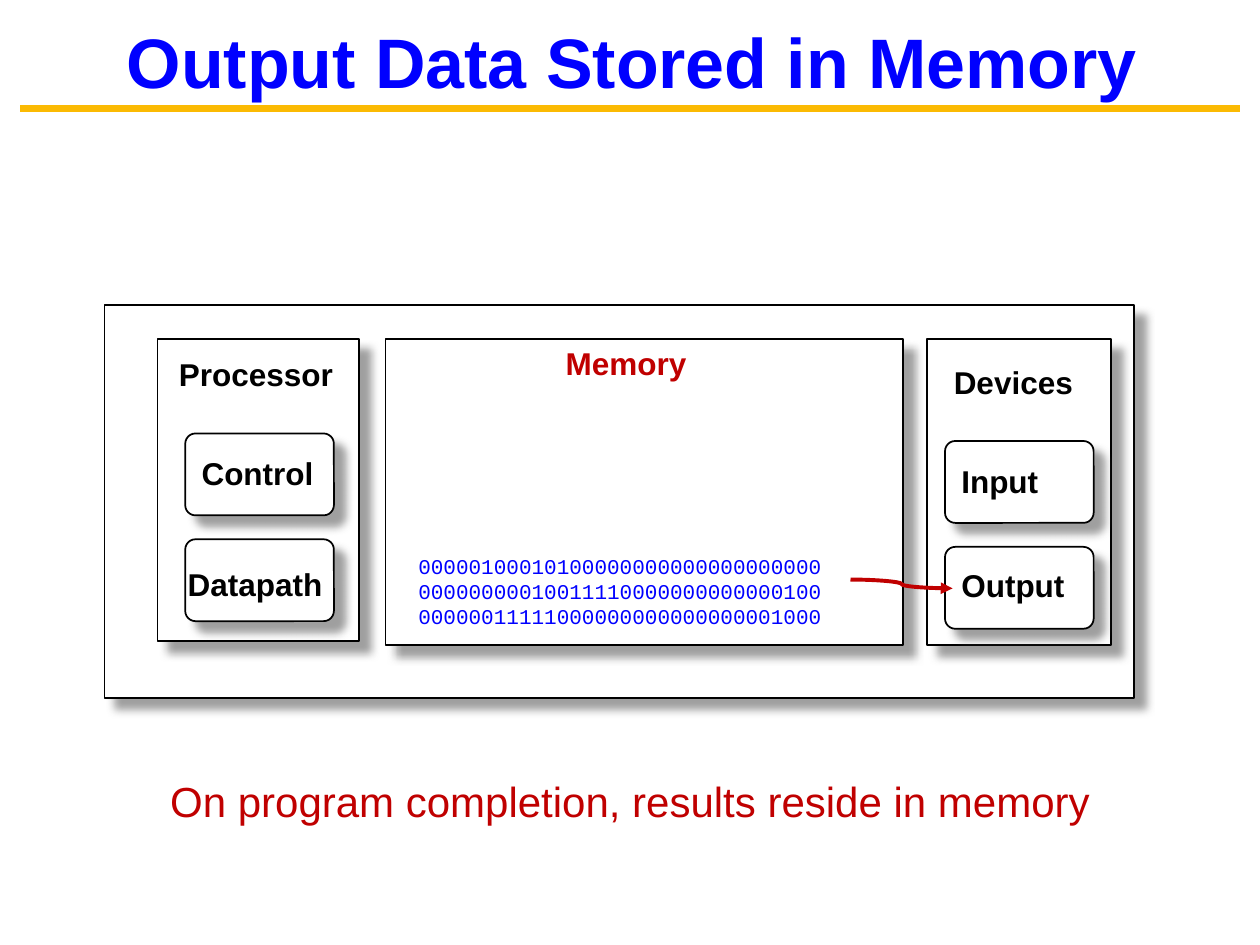
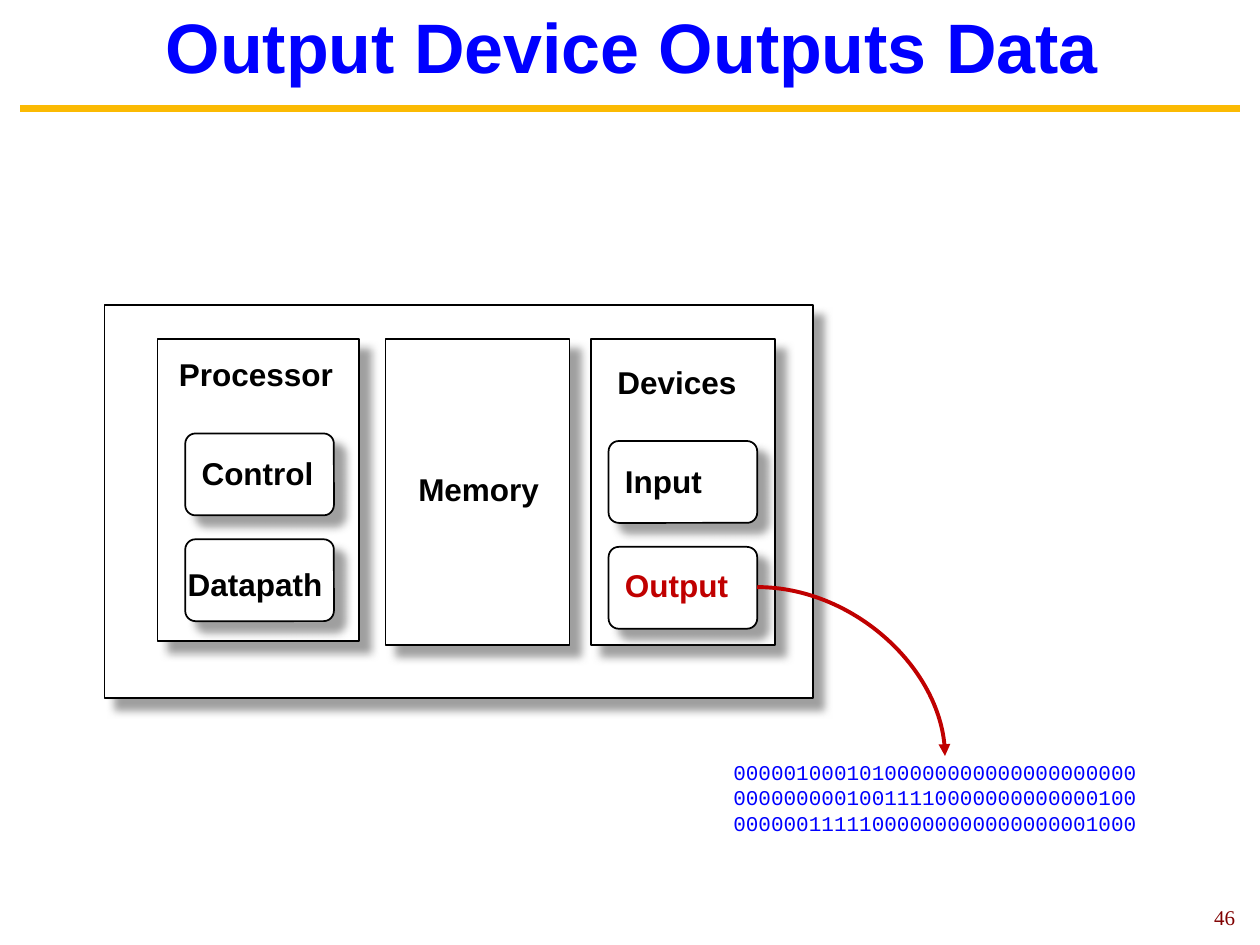
from lxml import etree
from pptx import Presentation
from pptx.dml.color import RGBColor
from pptx.enum import shapes, text
from pptx.oxml import parse_xml
from pptx.oxml.ns import nsdecls, qn
from pptx.util import Inches, Pt

WHITE = RGBColor(0xFF, 0xFF, 0xFF)
BLACK = RGBColor(0, 0, 0)
BLUE = RGBColor(0, 0, 0xFF)
RED = RGBColor(0xC0, 0, 0)
GOLD = RGBColor(0xFB, 0xBA, 0x03)
MAROON = RGBColor(0x80, 0, 0)

SHADOW = f"""<a:effectLst {nsdecls("a")}>
  <a:outerShdw blurRad="{Pt(5)}" dist="{Pt(8.5)}" dir="2700000" algn="ctr" rotWithShape="0">
    <a:srgbClr val="808080"><a:alpha val="75000"/></a:srgbClr>
  </a:outerShdw>
</a:effectLst>"""

RESULT_BITS = ["00000100010100000000000000000000",
               "00000000010011110000000000000100",
               "00000011111000000000000000001000"]
UNIT_TOP = 2.69
PART_WIDTH, PART_HEIGHT, PART_STEP = 1.18, 0.65, 0.84


def add_box(slide, left, top, width, height, rounded=False):
    """Add a white, outlined box with a soft shadow."""
    kind = shapes.MSO_SHAPE.ROUNDED_RECTANGLE if rounded else shapes.MSO_SHAPE.RECTANGLE
    box = slide.shapes.add_shape(kind, Inches(left), Inches(top), Inches(width), Inches(height))
    if rounded:
        box.adjustments[0] = 0.125
    box.fill.solid()
    box.fill.fore_color.rgb = WHITE
    box.line.color.rgb = BLACK
    box.line.width = Pt(1)
    box._element.spPr.append(parse_xml(SHADOW))


def add_text(slide, lines, left, top, width, height, size=18, color=BLACK, font="Arial",
             bold=False, centered=False, spacing=None):
    """Add a text box with one paragraph for each line."""
    frame = slide.shapes.add_textbox(
        Inches(left), Inches(top), Inches(width), Inches(height)).text_frame
    frame.word_wrap = True
    frame.margin_left = frame.margin_right = Inches(0.07)
    frame.margin_top = frame.margin_bottom = Inches(0.03)
    frame.text = "\n".join(lines)
    for paragraph in frame.paragraphs:
        if centered:
            paragraph.alignment = text.PP_ALIGN.CENTER
        if spacing:
            paragraph.line_spacing = spacing
        paragraph.font.name = font
        paragraph.font.size = Pt(size)
        paragraph.font.bold = bold
        paragraph.font.color.rgb = color


STEPS = [
    dict(title="Output Data Stored in Memory", title_at=(0.18, 0.12, 9.67, 0.73),
         computer_width=8.17, memory_width=4.11, devices_left=7.36,
         memory_label=(4.42, 2.75), memory_color=RED, output_color=BLACK,
         bits_at=(3.25, 4.36), curve="curvedConnector3", curve_ends=(6.75, 4.6, 7.56, 4.67),
         caption="On program completion, results reside in memory", number=None),
    dict(title="Output Device Outputs Data", title_at=(0.21, 0, 9.61, 0.73),
         computer_width=5.62, memory_width=1.46, devices_left=4.69,
         memory_label=(3.25, 3.75), memory_color=BLACK, output_color=RED,
         bits_at=(5.75, 6), curve="curvedConnector2", curve_ends=(6.01, 4.66, 7.5, 6),
         caption=None, number="46"),
]

prs = Presentation()
prs.slide_width, prs.slide_height = Inches(10), Inches(7.5)

for step in STEPS:
    slide = prs.slides.add_slide(prs.slide_layouts[6])

    title_rule = slide.shapes.add_connector(
        shapes.MSO_CONNECTOR.STRAIGHT, Inches(0.16), Inches(0.86), Inches(9.84), Inches(0.86))
    add_text(slide, [step["title"]], *step["title_at"], size=40, color=BLUE, bold=True,
             centered=True)

    # The computer and its three units
    devices_left = step["devices_left"]
    add_box(slide, 0.83, 2.42, step["computer_width"], 3.12)
    add_box(slide, 1.25, UNIT_TOP, 1.6, 2.4)
    add_box(slide, 3.06, UNIT_TOP, step["memory_width"], 2.43)
    add_box(slide, devices_left, UNIT_TOP, 1.46, 2.43)

    # Parts inside the processor and the devices
    part_left = devices_left + 0.14
    for left, top in [(1.47, 3.44), (part_left, 3.5)]:
        for row in range(2):
            add_box(slide, left, top + row * PART_STEP, PART_WIDTH, PART_HEIGHT, rounded=True)

    labels = [
        ("Processor", 1.35, 2.83, 1.45, BLACK),
        ("Control", 1.53, 3.62, 1.1, BLACK),
        ("Datapath", 1.42, 4.5, 1.3, BLACK),
        ("Memory", *step["memory_label"], 1.2, step["memory_color"]),
        ("Devices", part_left, 2.9, 1.2, BLACK),
        ("Input", part_left + 0.06, 3.68, 0.9, BLACK),
        ("Output", part_left + 0.06, 4.51, 1.05, step["output_color"]),
    ]
    for label, left, top, width, color in labels:
        add_text(slide, [label], left, top, width, 0.31, color=color, bold=True, spacing=0.85)

    # Result bits and the way they travel
    add_text(slide, RESULT_BITS, *step["bits_at"], 3.5, 0.66, size=12, color=BLUE,
             font="Courier New")
    data_flow = slide.shapes.add_connector(
        shapes.MSO_CONNECTOR.CURVE, *[Inches(end) for end in step["curve_ends"]])
    data_flow._element.spPr.find(qn("a:prstGeom")).set("prst", step["curve"])

    for line, color, width in [(title_rule, GOLD, 3.75), (data_flow, RED, 2.25)]:
        line.line.color.rgb = color
        line.line.width = Pt(width)
        etree.SubElement(line._element.spPr, qn("a:effectLst"))
    etree.SubElement(data_flow.line._get_or_add_ln(), qn("a:tailEnd"), type="triangle")

    if step["caption"]:
        add_text(slide, [step["caption"]], 0, 6.19, 10, 0.4, size=24, color=RED,
                 centered=True, spacing=0.85)
    if step["number"]:
        add_text(slide, [step["number"]], 9.52, 7.15, 0.4, 0.23, size=12, color=MAROON,
                 font="Times New Roman", centered=True)

prs.save("out.pptx")
